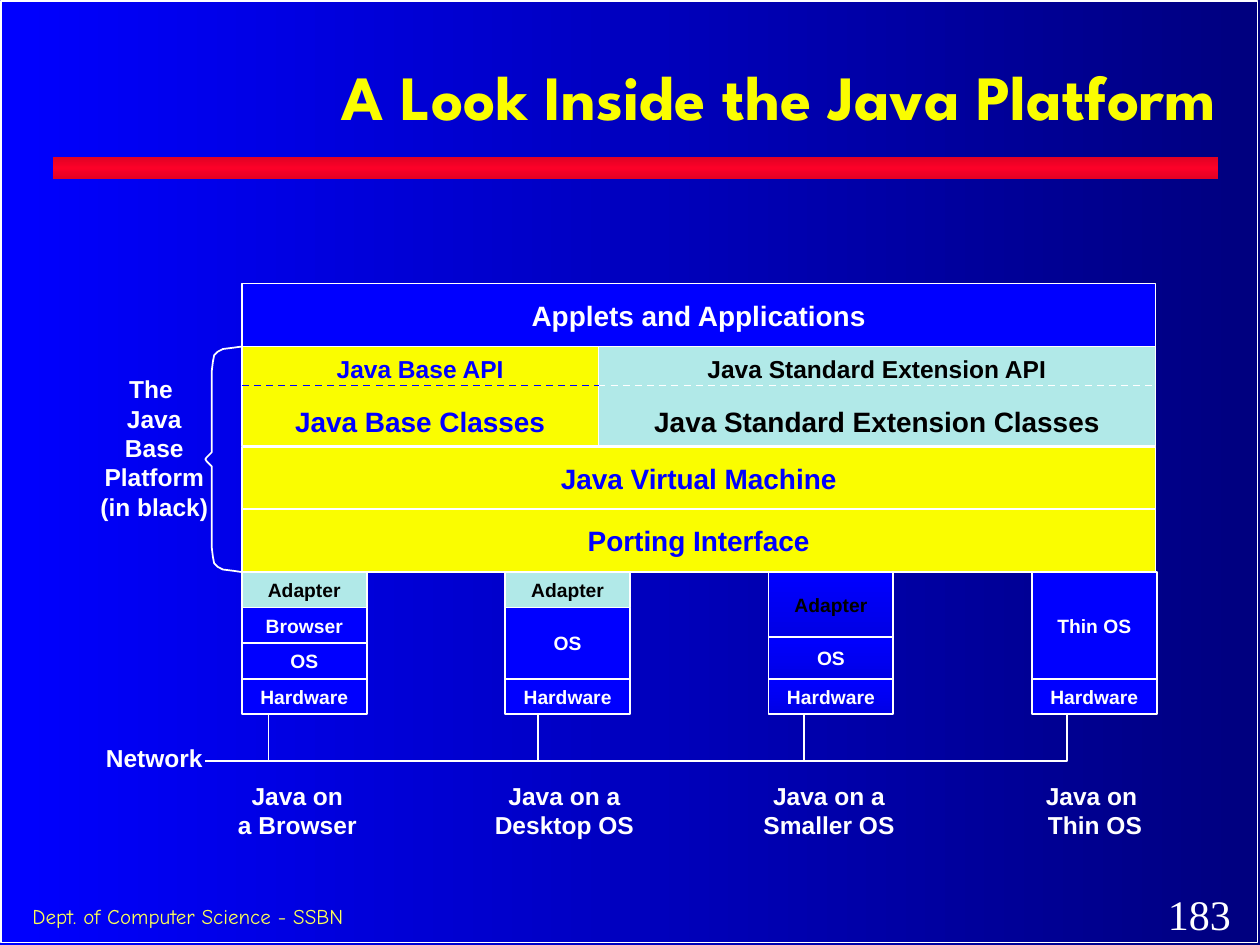
from copy import deepcopy
from pptx import Presentation
from pptx.dml.color import RGBColor
from pptx.enum.dml import MSO_LINE
from pptx.enum.shapes import MSO_CONNECTOR, MSO_SHAPE
from pptx.enum.text import MSO_ANCHOR, MSO_AUTO_SIZE, PP_ALIGN
from pptx.oxml.ns import qn
from pptx.oxml.xmlchemy import OxmlElement
from pptx.util import Inches, Pt

WHITE, BLACK, BLUE, YELLOW, AQUA = "FFFFFF", "000000", "0000FF", "FAFD00", "B1E9E8"


def paint(fill, *colours, angle=0):
    if len(colours) == 1:
        fill.solid()
        fill.fore_color.rgb = RGBColor.from_string(colours[0])
        return
    fill.gradient()
    fill.gradient_angle = angle
    for stop, colour in zip(fill.gradient_stops, colours):
        stop.color.rgb = RGBColor.from_string(colour)


def write(shape, lines, colour, align=PP_ALIGN.CENTER, anchor=MSO_ANCHOR.MIDDLE,
          font="Arial", bold=True, wrap=False, after=0, spacing=1):
    frame = shape.text_frame
    frame.auto_size = MSO_AUTO_SIZE.NONE
    frame.word_wrap = wrap
    frame.vertical_anchor = anchor
    for index, (text, size) in enumerate(lines):
        paragraph = frame.add_paragraph() if index else frame.paragraphs[0]
        paragraph.alignment = align
        paragraph.line_spacing = spacing
        if index < len(lines) - 1:
            paragraph.space_after = Pt(after)
        run = paragraph.add_run()
        run.text = text
        run.font.name = font
        run.font.size = Pt(size)
        run.font.bold = bold
        paint(run.font.fill, colour)


presentation = Presentation()
presentation.slide_width, presentation.slide_height = Inches(10), Inches(7.5)
slide = presentation.slides.add_slide(presentation.slide_layouts[5])
shapes = slide.shapes
paint(slide.background.fill, BLUE, "00007F")

border = shapes.add_shape(MSO_SHAPE.RECTANGLE, Inches(0.01), Inches(0.01), Inches(9.97), Inches(7.47))
border.shadow.inherit = False
border.fill.background()
paint(border.line.fill, WHITE)
border.line.width = Pt(1)

rule = shapes.add_shape(MSO_SHAPE.RECTANGLE, Inches(0.42), Inches(1.25), Inches(9.25), Inches(0.17))
rule.shadow.inherit = False
rule.line.fill.background()
paint(rule.fill, "E20124", "FC0128", angle=270)
stops = rule.element.find(".//" + qn("a:gsLst"))
stops[1].set("pos", "50000")
last_stop = deepcopy(stops[0])
last_stop.set("pos", "100000")
stops.append(last_stop)

title = shapes.title
title.left, title.top, title.width, title.height = Inches(1.75), Inches(0.17), Inches(8), Inches(1.25)
write(title, [("A Look Inside the Java Platform", 36)], YELLOW, align=PP_ALIGN.RIGHT,
      font="League Spartan", wrap=True, spacing=0.9)

left, width, right = 1.92, 7.25, 9.17
row = 0.5
stack_top, base_top, machine_top, adapter_top = 2.25, 2.75, 3.55, 4.54
base_width, base_height = 2.83, 0.79
pitch, column_width, unit = 2.09, 0.99, 0.2825

boxes = [
    (left, machine_top, width, row, [YELLOW], BLUE, [("Java Virtual Machine", 16)]),
    (left, adapter_top - row, width, row, [YELLOW], BLUE, [("Porting Interface", 16)]),
    (left, stack_top, width, row, [BLUE], WHITE, [("Applets and Applications", 16)]),
    (left, base_top, base_width, base_height, [YELLOW], BLUE,
     [("Java Base API", 14), ("Java Base Classes", 16)]),
    (left + base_width, base_top, width - base_width, base_height, [AQUA], BLACK,
     [("Java Standard Extension API", 14), ("Java Standard Extension Classes", 16)]),
]

columns = [
    [("Adapter", 1), ("Browser", 1), ("OS", 1), ("Hardware", 1)],
    [("Adapter", 1), ("OS", 2), ("Hardware", 1)],
    [("Adapter", 1.83), ("OS", 1.17), ("Hardware", 1)],
    [("Thin OS", 3), ("Hardware", 1)],
]
for number, layers in enumerate(columns):
    top = adapter_top
    for name, units in layers:
        fills = [BLUE]
        if number == 2:
            fills = [BLUE, "0000E5"]
        elif name == "Adapter":
            fills = [AQUA]
        ink = BLACK if name == "Adapter" else WHITE
        boxes.append((left + number * pitch, top, column_width, units * unit, fills, ink, [(name, 11)]))
        top += units * unit

for x, y, box_width, box_height, fills, ink, lines in boxes:
    box = shapes.add_shape(MSO_SHAPE.RECTANGLE, Inches(x), Inches(y), Inches(box_width), Inches(box_height))
    box.shadow.inherit = False
    paint(box.fill, *fills, angle=270)
    paint(box.line.fill, WHITE)
    box.line.width = Pt(1)
    write(box, lines, ink, after=12)

api_line, network_line, hardware_bottom = 3.06, 6.04, 5.67
straight_lines = [
    (left + base_width, api_line, right, api_line, WHITE, True),
    (left, api_line, left + base_width, api_line, BLUE, True),
]
for x in (2.13, 4.27, 6.38):
    straight_lines.append((x, hardware_bottom, x, network_line, WHITE, False))
for x1, y1, x2, y2, colour, dashed in straight_lines:
    connector = shapes.add_connector(MSO_CONNECTOR.STRAIGHT, Inches(x1), Inches(y1), Inches(x2), Inches(y2))
    connector.element.spPr.append(OxmlElement("a:effectLst"))
    paint(connector.line.fill, colour)
    connector.line.width = Pt(1)
    if dashed:
        connector.line.dash_style = MSO_LINE.DASH

brace_half = [(1.92, 2.75), (1.85, 2.76), (1.77, 2.77), (1.73, 2.79), (1.7, 2.82),
              (1.69, 2.87), (1.68, 2.95), (1.68, 3.59), (1.64, 3.63)]
brace_sum = base_top + adapter_top
brace = brace_half + [(1.63, brace_sum / 2)] + [(x, brace_sum - y) for x, y in reversed(brace_half)]
network = [(1.63, network_line), (8.47, network_line), (8.47, hardware_bottom)]
for points in (brace, network):
    corners = [(Inches(x), Inches(y)) for x, y in points]
    builder = shapes.build_freeform(*corners[0])
    builder.add_line_segments(corners[1:], close=False)
    outline = builder.convert_to_shape()
    outline.shadow.inherit = False
    outline.fill.background()
    paint(outline.line.fill, WHITE)
    outline.line.width = Pt(1)

labels = [
    (0.7, 2.92, 1.05, 1.26, ["The ", "Java", "Base", "Platform", "(in black)"]),
    (0.74, 5.85, 0.97, 0.33, ["Network"]),
    (1.79, 6.15, 1.14, 0.56, ["Java on", "a Browser"]),
    (3.83, 6.15, 1.3, 0.56, ["Java on a", "Desktop OS"]),
    (5.96, 6.15, 1.24, 0.56, ["Java on a", "Smaller OS"]),
    (8.2, 6.15, 0.98, 0.56, ["Java on ", "Thin OS"]),
]
for x, y, label_width, label_height, texts in labels:
    label = shapes.add_textbox(Inches(x), Inches(y), Inches(label_width), Inches(label_height))
    write(label, [(text, 14) for text in texts], WHITE, anchor=MSO_ANCHOR.TOP)

footers = [
    (9.17, 7, 0.75, 0.5, "183", 24, "Times New Roman", WHITE, 1),
    (0.16, 7.14, 4.84, 0.29, "Dept. of Computer Science - SSBN", 12, "Comic Neue", "FEFF56", 0.93),
]
for x, y, footer_width, footer_height, text, size, font, colour, spacing in footers:
    footer = shapes.add_textbox(Inches(x), Inches(y), Inches(footer_width), Inches(footer_height))
    write(footer, [(text, size)], colour, align=PP_ALIGN.LEFT, anchor=MSO_ANCHOR.TOP,
          font=font, bold=False, wrap=True, spacing=spacing)

presentation.save("out.pptx")
